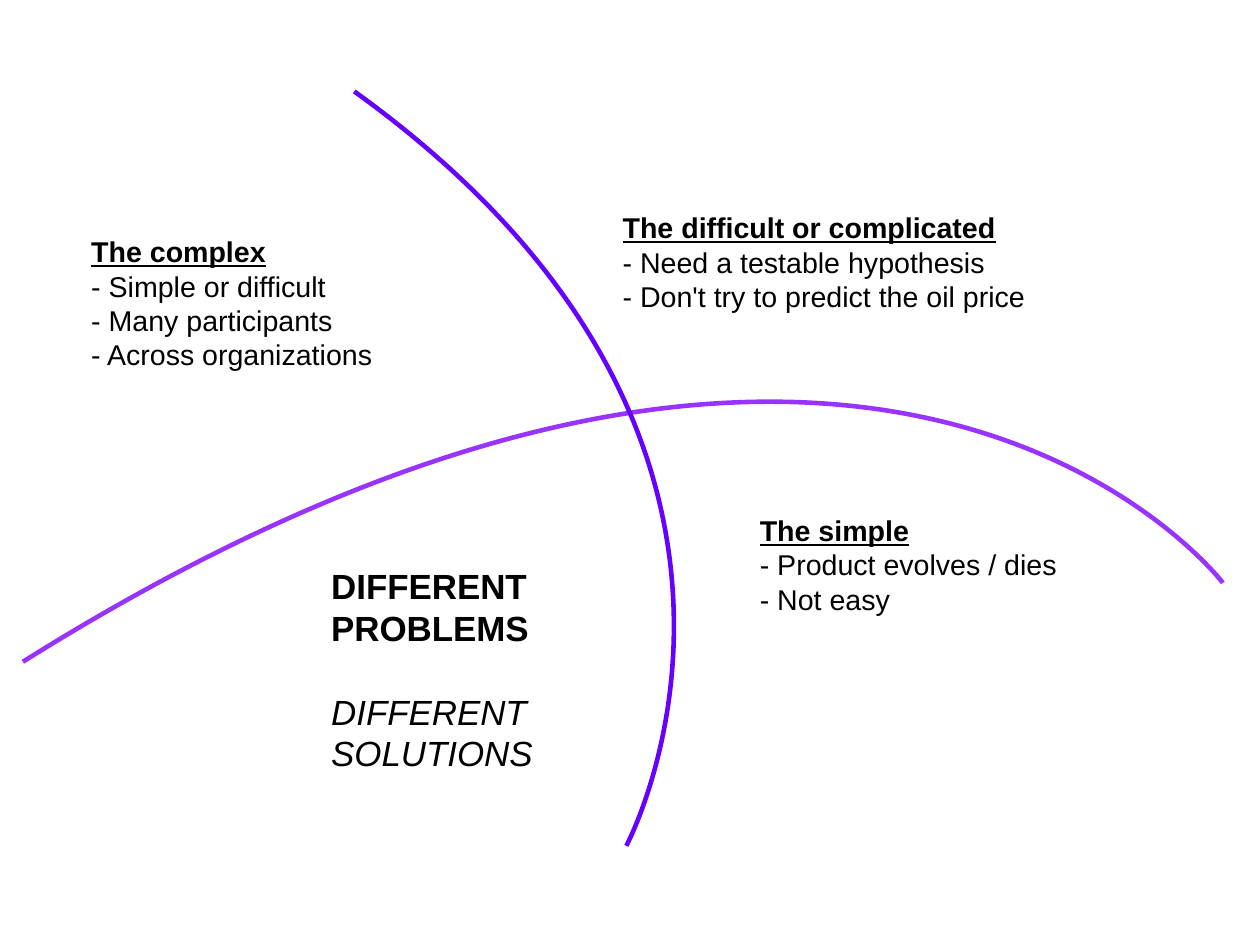
from lxml import etree
from pptx import Presentation
from pptx.dml.color import RGBColor
from pptx.oxml.ns import qn
from pptx.util import Pt

FONT = "Arial"
BLACK = "000000"
CURVE_STEPS = 60


def color(hex_code):
    return RGBColor.from_string(hex_code)


def bezier_point(corners, t):
    weights = ((1 - t) ** 3, 3 * t * (1 - t) ** 2, 3 * t ** 2 * (1 - t), t ** 3)
    return tuple(round(sum(w * v for w, v in zip(weights, axis))) for axis in zip(*corners))


def add_curve(page, corners, line_color):
    """Draw one cubic Bézier arc from its four control points, given in points."""
    corners = [(Pt(x), Pt(y)) for x, y in corners]
    builder = page.shapes.build_freeform(*corners[0], scale=1)
    builder.add_line_segments(
        [bezier_point(corners, step / CURVE_STEPS) for step in range(1, CURVE_STEPS + 1)],
        close=False)
    curve = builder.convert_to_shape()

    # The sampled points set the frame; one smooth segment then replaces them.
    outline = next(curve.element.iter(qn("a:path")))
    for segment in outline.findall(qn("a:lnTo")):
        outline.remove(segment)
    arc = etree.SubElement(outline, qn("a:cubicBezTo"))
    for x, y in corners[1:]:
        etree.SubElement(arc, qn("a:pt"), x=str(x - curve.left), y=str(y - curve.top))

    curve.shadow.inherit = False
    curve.fill.background()
    curve.line.color.rgb = color(line_color)
    curve.line.width = Pt(2.89)


def add_text_box(page, left, top, width, height):
    box = page.shapes.add_textbox(Pt(left), Pt(top), Pt(width), Pt(height))
    box.text_frame.word_wrap = True
    return box.text_frame


def add_span(para, words, size, bold=False, italic=False, underline=False):
    span = para.add_run()
    span.text = words
    font = span.font
    font.name, font.size = FONT, Pt(size)
    font.bold, font.italic, font.underline = bold, italic, underline
    font.color.rgb = color(BLACK)


def add_problem_type(page, place, heading, points):
    frame = add_text_box(page, *place)
    add_span(frame.paragraphs[0], heading, 18, bold=True, underline=True)
    for point in points:
        add_span(frame.add_paragraph(), f"- {point}", 18)


def add_title(page):
    frame = add_text_box(page, 201.6, 352, 180, 130.3)
    add_span(frame.paragraphs[0], "DIFFERENT PROBLEMS", 22, bold=True)
    solutions = frame.add_paragraph()
    solutions.space_before = Pt(26.4)
    add_span(solutions, "DIFFERENT SOLUTIONS", 22, italic=True)


def main():
    deck = Presentation()
    deck.slide_width, deck.slide_height = Pt(793.75), Pt(595.25)
    page = deck.slides.add_slide(deck.slide_layouts[6])

    add_problem_type(page, (50.4, 144, 259.2, 136.8), "The complex",
                     ["Simple or difficult", "Many participants", "Across organizations"])
    add_curve(page, [(14.4, 416.9), (552.2, 79.9), (770.4, 367.2), (770.4, 367.2)], "9933FF")
    add_curve(page, [(223.2, 57.6), (530.6, 278.6), (394.6, 532.8), (394.6, 532.8)], "6600FF")
    add_problem_type(page, (385.2, 128.9, 345.6, 82.8), "The difficult or complicated",
                     ["Need a testable hypothesis", "Don't try to predict the oil price"])
    add_problem_type(page, (471.6, 319.7, 237.6, 108), "The simple",
                     ["Product evolves / dies", "Not easy"])
    add_title(page)

    deck.save("out.pptx")


if __name__ == "__main__":
    main()
